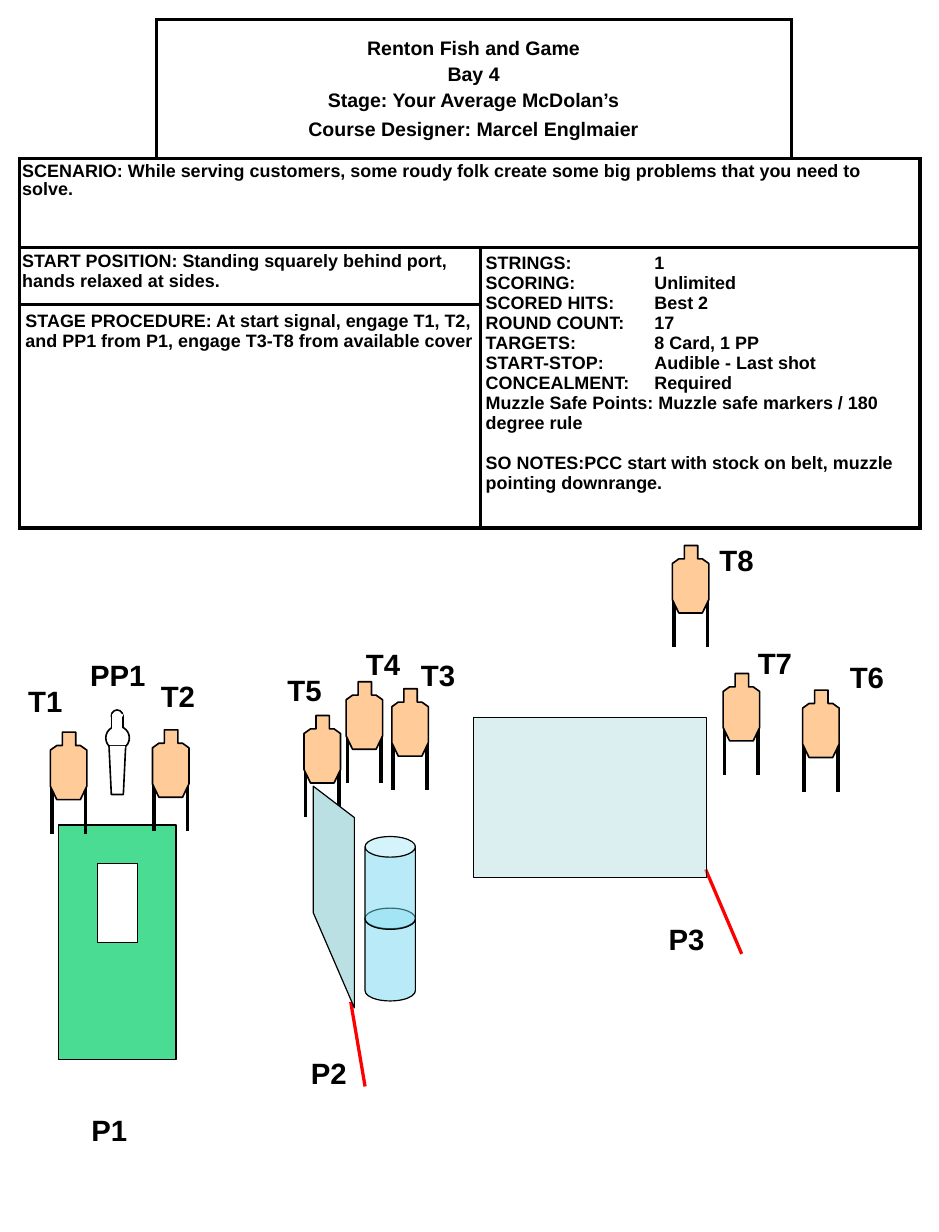
from dataclasses import dataclass

from lxml.etree import SubElement
from pptx import Presentation
from pptx.dml.color import RGBColor
from pptx.enum.shapes import MSO_CONNECTOR, MSO_SHAPE
from pptx.enum.text import MSO_ANCHOR, PP_ALIGN
from pptx.oxml.ns import qn
from pptx.util import Cm, Pt

COLORS = {
    "ink": "000000", "paper": "FFFFFF", "cardboard": "FFCC99", "port": "4ADC93",
    "wall": "BBE0E3", "barrel": "73D9F1", "fault": "FF0000",
}
Point = tuple[float, float]


@dataclass
class Label:
    text: str
    left: float
    top: float
    width: float = 1.47


@dataclass
class Target:
    left: float
    top: float
    label: Label


@dataclass
class Entry:
    text: str
    space_before: float = 0
    tab: float = 0


@dataclass
class Panel:
    """A block of table cells; margins are (horizontal, vertical) in cm."""
    first: Point
    last: Point
    entries: list[Entry]
    margins: Point = (0.12, 0.13)
    size: float = 11
    line_spacing: float = 1.0
    centered: bool = False


TARGETS = [
    Target(8.48, 14.91, Label("T3", 8.86, 14.1)),
    Target(6.58, 15.49, Label("T5", 5.97, 14.43)),
    Target(1.09, 15.85, Label("T1", 0.36, 14.66)),
    Target(7.49, 14.76, Label("T4", 7.67, 13.87)),
    Target(15.65, 14.58, Label("T7", 16.15, 13.84)),
    Target(3.3, 15.8, Label("T2", 3.23, 14.55)),
    Target(17.37, 14.94, Label("T6", 18.14, 14.15)),
    Target(14.55, 11.81, Label("T8", 15.32, 11.61)),
]
OTHER_LABELS = [
    Label("PP1", 1.7, 14.1, 1.85), Label("P1", 1.73, 23.95),
    Label("P2", 6.48, 22.71), Label("P3", 14.22, 19.81),
]
SILHOUETTE = [
    (0.26, 0), (0.55, 0), (0.55, 0.29), (0.65, 0.29), (0.79, 0.39), (0.79, 1.17),
    (0.65, 1.46), (0.14, 1.46), (0, 1.17), (0, 0.39), (0.14, 0.29), (0.26, 0.29),
]
DETAILS = [
    ("STRINGS:", "1"), ("SCORING:", "Unlimited"), ("SCORED HITS:", "Best 2"),
    ("ROUND COUNT:", "17"), ("TARGETS:", "8 Card, 1 PP"),
    ("START-STOP:", "Audible - Last shot"), ("CONCEALMENT:", "Required"),
]
PANELS = [
    Panel((0, 1), (0, 2), [
        Entry("Renton Fish and Game"), Entry("Bay 4", 2.4),
        Entry("Stage: Your Average McDolan’s", 2.4),
        Entry("Course Designer: Marcel Englmaier", 4.2),
    ], size=12, centered=True),
    Panel((1, 0), (1, 3), [Entry(
        "SCENARIO: While serving customers, some roudy folk create some big "
        "problems that you need to solve.")], (0.05, 0.1), line_spacing=0.9),
    Panel((2, 0), (2, 1), [Entry(
        "START POSITION: Standing squarely behind port, hands relaxed at sides.",
    )], (0.05, 0.08)),
    Panel((2, 2), (3, 3), [
        *(Entry(f"{name}\t{value}", tab=3.65) for name, value in DETAILS),
        Entry("Muzzle Safe Points: Muzzle safe markers / 180 degree rule"),
        Entry("SO NOTES:PCC start with stock on belt, muzzle pointing downrange.", 12.6),
    ]),
    Panel((3, 0), (3, 1), [Entry(
        "STAGE PROCEDURE: At start signal, engage T1, T2, and PP1 from P1, "
        "engage T3-T8 from available cover")]),
]


def rgb(color: str) -> RGBColor:
    return RGBColor.from_string(COLORS[color])


def set_font(paragraph, size: float) -> None:
    font = paragraph.font
    font.name, font.size, font.bold = "Arial", Pt(size), True
    font.color.rgb = rgb("ink")


def paint(shape, fill: str, weight: float | None, line: str = "ink",
          alpha: int | None = None) -> None:
    """Fill and outline a shape; a weight of None means no outline."""
    shape.shadow.inherit = False
    shape.fill.solid()
    shape.fill.fore_color.rgb = rgb(fill)
    if alpha is not None:
        color = shape.fill._xPr.find(qn("a:solidFill"))[0]
        SubElement(color, qn("a:alpha"), val=str(alpha * 1000))
    if weight is None:
        shape.line.fill.background()
    else:
        shape.line.color.rgb = rgb(line)
        shape.line.width = Pt(weight)


def draw_preset(shapes, kind: MSO_SHAPE, left: float, top: float, width: float, height: float):
    return shapes.add_shape(kind, Cm(left), Cm(top), Cm(width), Cm(height))


def draw_outline(shapes, *contours: list[Point]):
    """Draw closed contours as one shape; an inner contour becomes a hole."""
    first, *holes = [[(Cm(x), Cm(y)) for x, y in contour] for contour in contours]
    builder = shapes.build_freeform(*first[0])
    builder.add_line_segments(first[1:], close=True)
    for hole in holes:
        builder.move_to(*hole[0])
        builder.add_line_segments(hole[1:], close=True)
    return builder.convert_to_shape()


def box(left: float, top: float, right: float, bottom: float) -> list[Point]:
    return [(left, top), (right, top), (right, bottom), (left, bottom)]


def draw_line(shapes, start: Point, end: Point, color: str, weight: float) -> None:
    line = shapes.add_connector(
        MSO_CONNECTOR.STRAIGHT, *(Cm(value) for value in (*start, *end)))
    line.line.color.rgb = rgb(color)
    line.line.width = Pt(weight)
    SubElement(line._element.spPr, qn("a:effectLst"))


def draw_label(shapes, label: Label) -> None:
    frame = shapes.add_textbox(
        Cm(label.left), Cm(label.top), Cm(label.width), Cm(1.02)).text_frame
    frame.word_wrap = True
    frame.text = label.text
    set_font(frame.paragraphs[0], 18)


def draw_target(shapes, target: Target) -> None:
    parts = shapes.add_group_shape().shapes
    for offset in (0.03, 0.76):
        x = target.left + offset
        draw_line(parts, (x, target.top + 1.08), (x, target.top + 2.2), "ink", 2.25)
    body = draw_outline(parts, [(target.left + x, target.top + y) for x, y in SILHOUETTE])
    paint(body, "cardboard", 1)


def draw_popper(shapes) -> None:
    parts = shapes.add_group_shape().shapes
    for left, top, size in ((2.41, 15.37, 0.25), (2.29, 15.72, 0.51)):
        paint(draw_preset(parts, MSO_SHAPE.OVAL, left, top, size, size), "paper", 1)
    stem = draw_outline(parts, [(2.36, 16.15), (2.72, 16.15), (2.67, 17.2), (2.41, 17.2)])
    paint(stem, "paper", 1)
    for left, top, width, height, weight, line in (
        (2.41, 15.49, 0.25, 0.25, 1, "ink"),
        (2.38, 16.15, 0.33, 0.05, None, "paper"),
        (2.44, 15.72, 0.18, 0.05, 1, "paper"),
        (2.44, 15.47, 0.2, 0.03, 1, "paper"),
    ):
        joint = draw_preset(parts, MSO_SHAPE.RECTANGLE, left, top, width, height)
        paint(joint, "paper", weight, line)


def style_cell(cell, sides: str) -> None:
    """Draw borders on the sides named by letters in L, R, T, B order."""
    properties = cell._tc.get_or_add_tcPr()
    for side in sides:
        border = SubElement(properties, qn(f"a:ln{side}"), w=str(Pt(2.25)))
        fill = SubElement(border, qn("a:solidFill"))
        SubElement(fill, qn("a:srgbClr"), val=COLORS["ink"])
    cell.fill.solid()
    cell.fill.fore_color.rgb = rgb("paper")


def fill_panel(table, panel: Panel) -> None:
    cell = table.cell(*panel.first)
    cell.merge(table.cell(*panel.last))
    cell.margin_left = cell.margin_right = Cm(panel.margins[0])
    cell.margin_top = cell.margin_bottom = Cm(panel.margins[1])
    cell.vertical_anchor = MSO_ANCHOR.MIDDLE if panel.centered else MSO_ANCHOR.TOP
    cell.text = "\n".join(entry.text for entry in panel.entries)
    for paragraph, entry in zip(cell.text_frame.paragraphs, panel.entries):
        paragraph.alignment = PP_ALIGN.CENTER if panel.centered else PP_ALIGN.LEFT
        paragraph.line_spacing = panel.line_spacing
        if entry.space_before:
            paragraph.space_before = Pt(entry.space_before)
        if entry.tab:
            tabs = SubElement(paragraph._p.get_or_add_pPr(), qn("a:tabLst"))
            SubElement(tabs, qn("a:tab"), pos=str(Cm(entry.tab)), algn="l")
        set_font(paragraph, panel.size)


def draw_briefing(shapes) -> None:
    widths, heights = (2.95, 7.01, 6.73, 2.79), (3.0, 1.93, 1.24, 4.83)
    table = shapes.add_table(4, 4, Cm(0.43), Cm(0.43), Cm(sum(widths)), Cm(sum(heights))).table
    table.first_row = table.horz_banding = False
    for column, width in zip(table.columns, widths):
        column.width = Cm(width)
    for row, height in zip(table.rows, heights):
        row.height = Cm(height)
    corners = {(0, 0): "RB", (0, 3): "LB"}
    for row in range(4):
        for column in range(4):
            style_cell(table.cell(row, column), corners.get((row, column), "LRTB"))
    for panel in PANELS:
        fill_panel(table, panel)


def main() -> None:
    deck = Presentation()
    deck.slide_width, deck.slide_height = Cm(20.32), Cm(26.67)
    shapes = deck.slides.add_slide(deck.slide_layouts[6]).shapes
    draw_briefing(shapes)
    draw_line(shapes, (7.9, 23.52), (7.59, 21.69), "fault", 2)
    port = draw_outline(shapes, box(1.27, 17.86, 3.81, 22.94), box(2.11, 18.69, 2.97, 20.4))
    paint(port, "port", 0)
    for top in (19.66, 18.11):
        barrel = draw_preset(shapes, MSO_SHAPE.CAN, 7.9, top, 1.09, 2.01)
        barrel.adjustments[0] = 0.41
        paint(barrel, "barrel", 0.75, alpha=50)
    for target in TARGETS:
        draw_target(shapes, target)
    side_wall = [(6.78, 19.76), (7.67, 21.82), (7.67, 17.7), (6.78, 17.02)]
    paint(draw_outline(shapes, side_wall), "wall", 0.75)
    draw_line(shapes, (16.05, 20.65), (15.27, 18.82), "fault", 2)
    draw_popper(shapes)
    paint(draw_outline(shapes, box(10.24, 15.54, 15.29, 19)), "wall", 0.75, alpha=50)
    for label in [target.label for target in TARGETS] + OTHER_LABELS:
        draw_label(shapes, label)
    deck.save("out.pptx")


if __name__ == "__main__":
    main()
